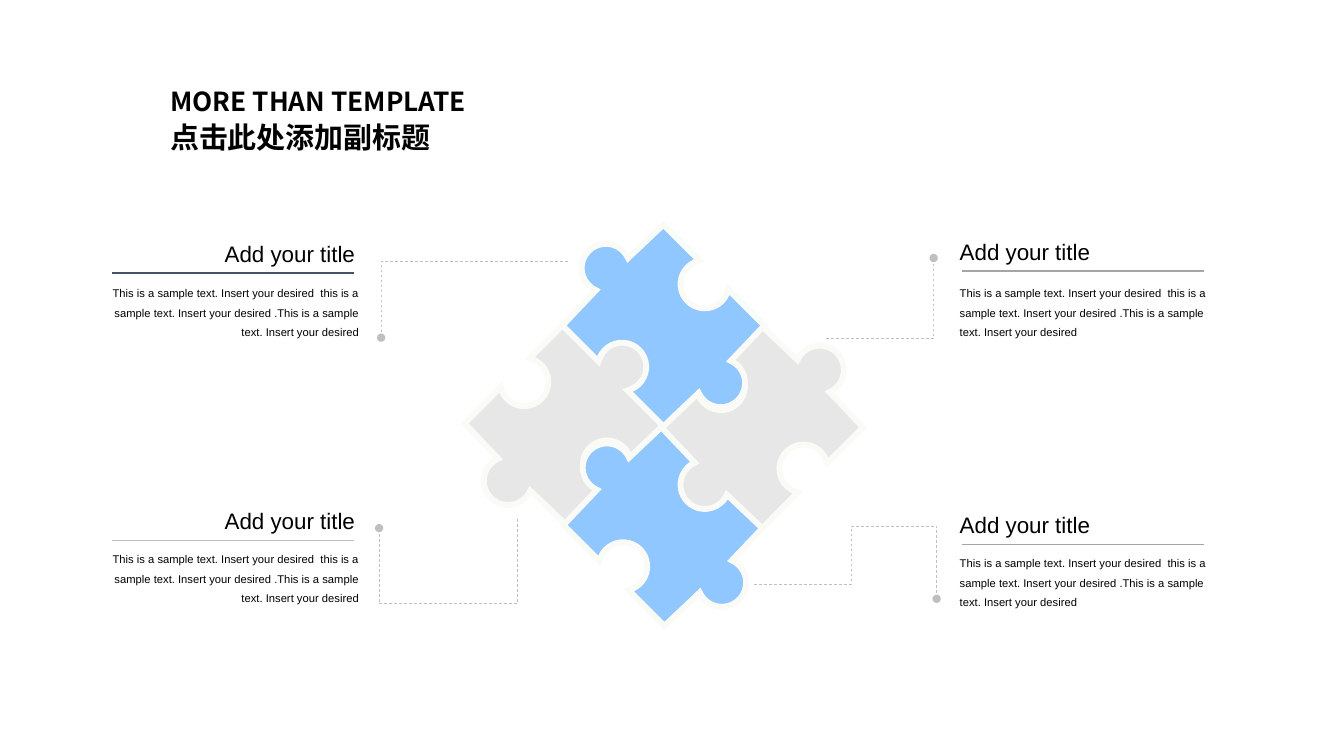
from math import cos, radians, sin, tan

from lxml.etree import SubElement
from pptx import Presentation
from pptx.dml.color import RGBColor
from pptx.enum.dml import MSO_LINE
from pptx.enum.shapes import MSO_CONNECTOR
from pptx.enum.text import MSO_ANCHOR, MSO_AUTO_SIZE, PP_ALIGN
from pptx.oxml.ns import qn
from pptx.util import Inches, Pt

COLORS = {
    "text": "000000",
    "blue": "90C7FF",
    "grey": "E7E7E7",
    "gap": "FAFAF6",
    "leader": "BFBFBF",
    "navy": "44546A",
    "rule": "A5A5A5",
}
HEADING = "Add your title"
SAMPLE = ("This is a sample text. Insert your desired  this is a sample text. "
          "Insert your desired .This is a sample text. Insert your desired")

# Puzzle geometry in inches, measured from the centre of a piece
HALF_DIAGONAL = 1.0
ARC_RADIUS = 0.24
KNOB_OFFSET, KNOB_HALF_SWEEP = 0.57, 111
DENT_OFFSET, DENT_HALF_SWEEP = 0.41, 122
ARC_CURVES = 3
SIDE_POINTS = 2 + 3 * ARC_CURVES  # corner, arc start, three points a curve


def arc_points(center_x, center_y, start, sweep):
    """Start of an arc, then two handles and an end for each Bezier curve."""
    step = radians(sweep) / ARC_CURVES
    handle = 4 / 3 * tan(step / 4)

    def on_arc(angle, along=0):
        return (center_x + ARC_RADIUS * (cos(angle) - along * sin(angle)),
                center_y + ARC_RADIUS * (sin(angle) + along * cos(angle)))

    points = [on_arc(radians(start))]
    for curve in range(ARC_CURVES):
        begin = radians(start) + curve * step
        points += [on_arc(begin, handle), on_arc(begin + step, -handle),
                   on_arc(begin + step)]
    return points


def piece_outline(center_x, center_y, knob_sides):
    """Clockwise outline: each corner is followed by its side's knob or dent."""
    outline = []
    for side in (-45, 45, 135, 225):
        corner = radians(side - 45)
        outline.append((center_x + HALF_DIAGONAL * cos(corner),
                        center_y + HALF_DIAGONAL * sin(corner)))
        if side in knob_sides:
            offset, middle, sweep = KNOB_OFFSET, side, KNOB_HALF_SWEEP
        else:
            offset, middle, sweep = DENT_OFFSET, side + 180, -DENT_HALF_SWEEP
        reach = offset * 2 ** 0.5
        outline += arc_points(center_x + reach * cos(radians(side)),
                              center_y + reach * sin(radians(side)),
                              middle - sweep, 2 * sweep)
    return outline


class PuzzleSlide:
    body_font = "Arial"
    title_font = "Noto Sans CJK SC"

    def __init__(self, slide):
        self.shapes = slide.shapes

    def color(self, name):
        return RGBColor.from_string(COLORS[name])

    def outline(self, points, closed):
        (start_x, start_y), *others = [(Inches(x), Inches(y)) for x, y in points]
        builder = self.shapes.build_freeform(start_x, start_y, scale=1.0)
        builder.add_line_segments(others, close=closed)
        shape = builder.convert_to_shape()
        shape.shadow.inherit = False
        return shape

    def round_arcs(self, piece):
        """Turn the three segments of every arc curve into one Bezier."""
        segments = list(piece._element.iter(qn("a:lnTo")))
        for side in range(4):
            for curve in range(ARC_CURVES):
                first = side * SIDE_POINTS + 1 + 3 * curve
                trio = segments[first:first + 3]
                bezier = trio[0].makeelement(qn("a:cubicBezTo"))
                trio[0].addprevious(bezier)
                for segment in trio:
                    bezier.append(segment[0])
                    segment.getparent().remove(segment)

    def piece(self, center_x, center_y, knob_sides, fill):
        piece = self.outline(piece_outline(center_x, center_y, knob_sides), True)
        self.round_arcs(piece)
        piece.fill.solid()
        piece.fill.fore_color.rgb = self.color(fill)
        piece.line.color.rgb = self.color("gap")
        piece.line.width = Pt(4.13)
        SubElement(piece.line._get_or_add_ln(), qn("a:miter"), lim="800000")

    def leader(self, points):
        leader = self.outline(points, False)
        leader.fill.background()
        leader.line.color.rgb = self.color("leader")
        leader.line.width = Pt(0.5)
        leader.line.dash_style = MSO_LINE.DASH
        SubElement(leader.line._get_or_add_ln(), qn("a:tailEnd"), type="oval")

    def rule(self, left, top, width, color):
        rule = self.shapes.add_connector(
            MSO_CONNECTOR.STRAIGHT, Inches(left), Inches(top),
            Inches(left + width), Inches(top))
        rule.line.color.rgb = self.color(color)
        rule.line.width = Pt(1)
        SubElement(rule._element.spPr, qn("a:effectLst"))

    def text(self, box, lines, font, bold=False, align=PP_ALIGN.LEFT,
             spacing=None, wrap=True, anchor=MSO_ANCHOR.TOP):
        frame = self.shapes.add_textbox(*map(Inches, box)).text_frame
        frame.word_wrap = wrap
        frame.auto_size = MSO_AUTO_SIZE.SHAPE_TO_FIT_TEXT
        frame.vertical_anchor = anchor
        for index, (words, size) in enumerate(lines):
            paragraph = frame.add_paragraph() if index else frame.paragraphs[0]
            paragraph.alignment = align
            paragraph.line_spacing = spacing
            run = paragraph.add_run()
            run.text = words
            run.font.size = Pt(size)
            run.font.bold = bold
            run.font.name = font
            run.font.color.rgb = self.color("text")
            SubElement(run._r.get_or_add_rPr(), qn("a:ea"), typeface=font)

    def caption(self, heading_at, rule_at, body_at, rule_color, align):
        self.text((*heading_at, 1.51, 0.37), [(HEADING, 16)], self.body_font,
                  wrap=False)
        self.rule(*rule_at, 2.4, rule_color)
        self.text((*body_at, 2.65, 0.69), [(SAMPLE, 8)], self.body_font,
                  align=align, spacing=Pt(14))


def main():
    deck = Presentation()
    deck.slide_width, deck.slide_height = Inches(13.33), Inches(7.5)
    puzzle = PuzzleSlide(deck.slides.add_slide(deck.slide_layouts[6]))

    # Puzzle pieces, from back to front
    rising, falling = (-45, 135), (45, 225)
    puzzle.piece(5.61, 4.2, rising, "grey")
    puzzle.piece(6.59, 5.21, falling, "blue")
    puzzle.piece(7.56, 4.24, rising, "grey")
    puzzle.piece(6.58, 3.23, falling, "blue")

    # Dashed leaders from the pieces to the captions
    for leader in (
        [(5.63, 2.59), (3.78, 2.59), (3.78, 3.35)],
        [(5.13, 5.15), (5.13, 5.99), (3.76, 5.99), (3.76, 5.24)],
        [(8.19, 3.36), (9.26, 3.36), (9.26, 2.56)],
        [(7.48, 5.8), (8.44, 5.8), (8.44, 5.22), (9.29, 5.22), (9.29, 5.94)],
    ):
        puzzle.leader(leader)

    # Captions: heading, rule and sample text
    left, right = PP_ALIGN.LEFT, PP_ALIGN.RIGHT
    puzzle.caption((2.13, 2.33), (1.11, 2.71), (1.01, 2.73), "navy", right)
    puzzle.caption((2.13, 4.98), (1.11, 5.36), (1.01, 5.37), "leader", right)
    puzzle.caption((9.42, 2.31), (9.54, 2.69), (9.42, 2.73), "rule", left)
    puzzle.caption((9.42, 5.02), (9.54, 5.4), (9.42, 5.41), "rule", left)

    # Slide title
    puzzle.text((1.59, 0.76, 3.3, 0.83),
                [("MORE THAN TEMPLATE", 18.7), ("点击此处添加副标题", 20.7)],
                puzzle.title_font, bold=True, spacing=1.1,
                anchor=MSO_ANCHOR.MIDDLE)

    deck.save("out.pptx")


if __name__ == "__main__":
    main()
